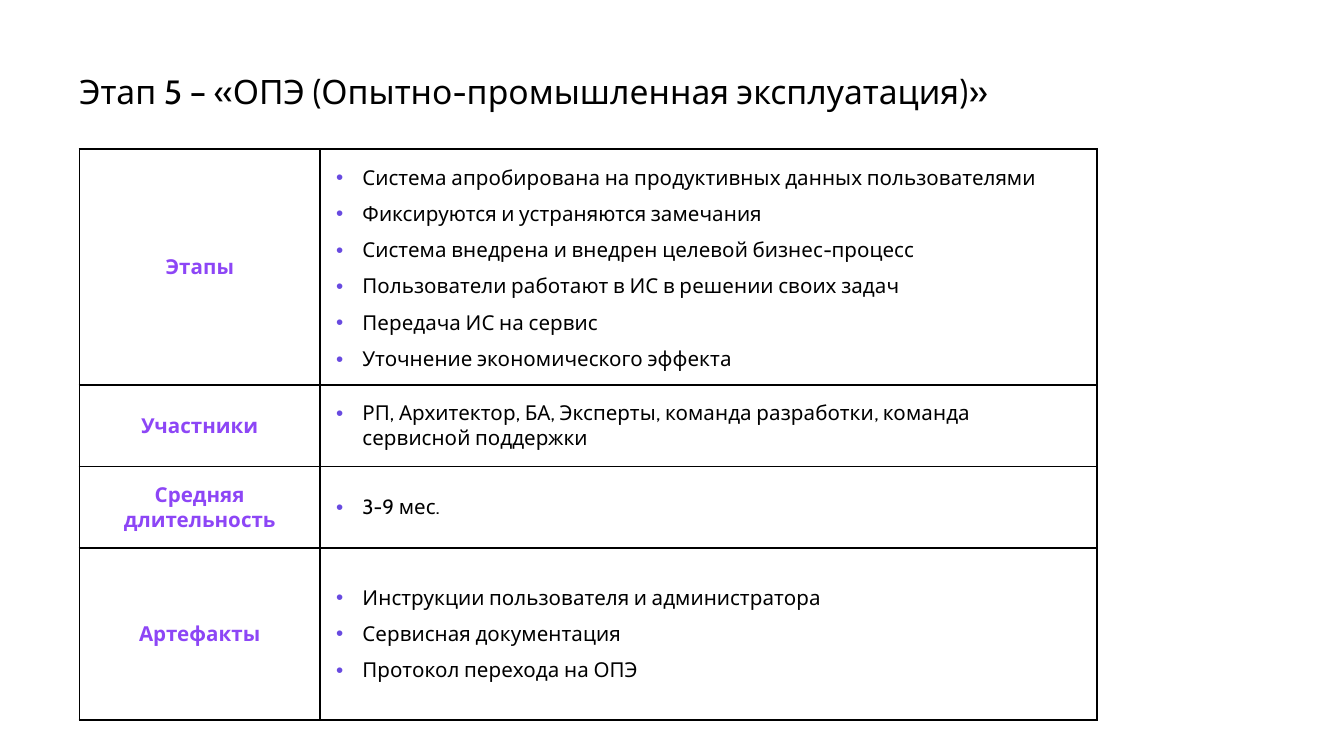
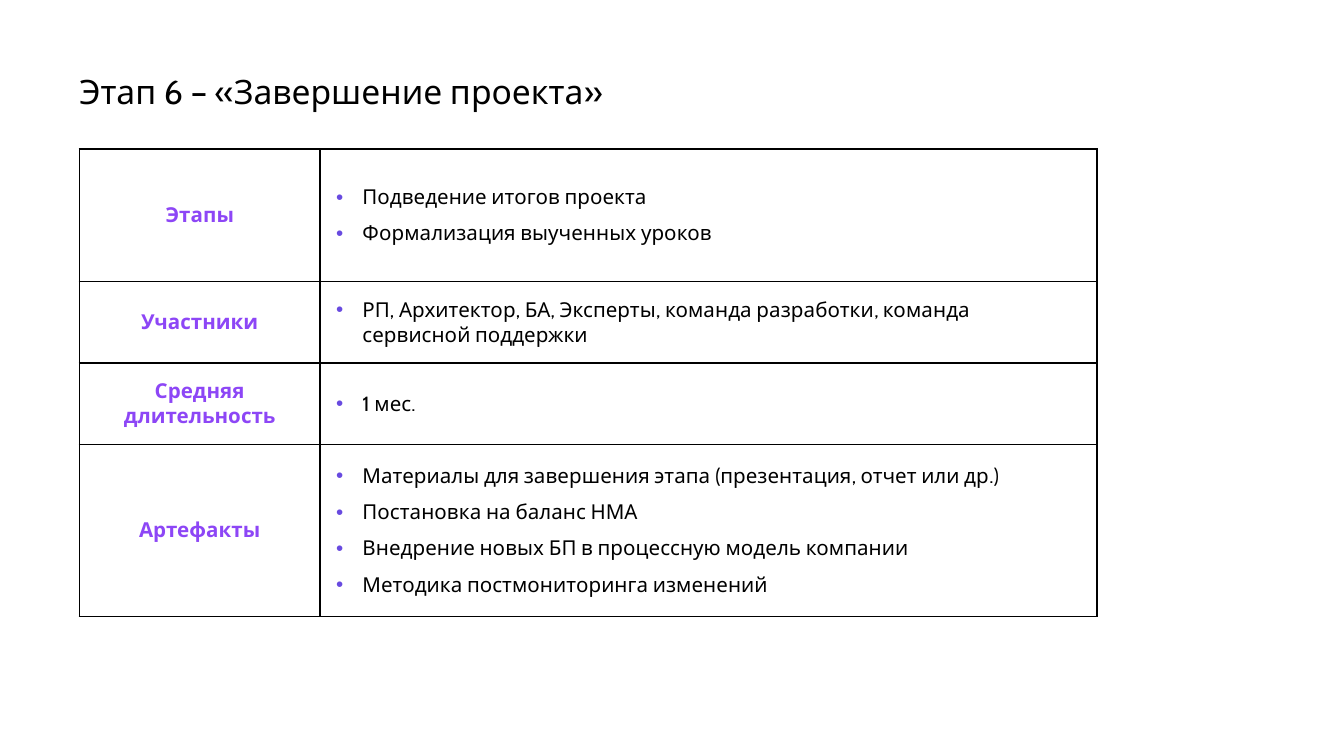
import lxml.etree
import pptx
import pptx.dml.color
import pptx.enum.text
import pptx.oxml.ns
import pptx.util

Cm = pptx.util.Cm
Pt = pptx.util.Pt
FONT = "Cabin"
BLACK, PURPLE, BULLET = "000000", "8D46F6", "684AE0"
LEFT = 1.5
LABELS = ["Этапы", "Участники", "Средняя длительность", "Артефакты"]
TEAM = "РП, Архитектор, БА, Эксперты, команда разработки, команда сервисной поддержки"
STAGES = [
    ("Этап 5 – «ОПЭ (Опытно-промышленная эксплуатация)»", [4.45, 1.54, 1.54, 3.25], [
        ["Система апробирована на продуктивных данных пользователями",
         "Фиксируются и устраняются замечания",
         "Система внедрена и внедрен целевой бизнес-процесс",
         "Пользователи работают в ИС в решении своих задач",
         "Передача ИС на сервис",
         "Уточнение экономического эффекта"],
        [TEAM],
        ["3-9 мес."],
        ["Инструкции пользователя и администратора",
         "Сервисная документация",
         "Протокол перехода на ОПЭ"],
    ]),
    ("Этап 6 – «Завершение проекта»", [2.5, 1.54, 1.54, 3.25], [
        ["Подведение итогов проекта",
         "Формализация выученных уроков"],
        [TEAM],
        ["1 мес."],
        ["Материалы для завершения этапа (презентация, отчет или др.)",
         "Постановка на баланс НМА",
         "Внедрение новых БП в процессную модель компании",
         "Методика постмониторинга изменений"],
    ]),
]


def rgb(value):
    return pptx.dml.color.RGBColor.from_string(value)


def add_element(parent, tag, **attributes):
    element = lxml.etree.SubElement(parent, pptx.oxml.ns.qn(tag))
    for name, value in attributes.items():
        element.set(name, str(value))
    return element


class StageDeck:
    """Builds stage slides in one shared style."""

    def __init__(self):
        self.presentation = pptx.Presentation()
        self.presentation.slide_width = Cm(25.4)
        self.presentation.slide_height = Cm(14.29)
        self.slide = None

    def add_slide(self):
        self.slide = self.presentation.slides.add_slide(self.presentation.slide_layouts[6])

    def style(self, paragraph, size, color, bold=False):
        font = paragraph.font
        font.name, font.size, font.bold = FONT, Pt(size), bold
        font.color.rgb = rgb(color)

    def add_title(self, text):
        frame = self.slide.shapes.add_textbox(Cm(LEFT), Cm(1.32), Cm(17.5), Cm(0.79)).text_frame
        frame.margin_left = frame.margin_right = frame.margin_bottom = 0
        frame.margin_top = Cm(0.03)
        frame.word_wrap = True
        frame.auto_size = pptx.enum.text.MSO_AUTO_SIZE.SHAPE_TO_FIT_TEXT
        frame.text = text
        self.style(frame.paragraphs[0], 18, BLACK)

    def add_table(self, heights, contents):
        widths = [4.55, 14.68]
        table = self.slide.shapes.add_table(
            len(heights), len(widths), Cm(LEFT), Cm(2.82), Cm(sum(widths)), Cm(sum(heights))).table
        table.first_row = table.horz_banding = False
        for column, width in zip(table.columns, widths):
            column.width = Cm(width)
        for row, height, label, items in zip(table.rows, heights, LABELS, contents):
            row.height = Cm(height)
            label_cell, items_cell = row.cells
            self.fill_cell(label_cell, [label])
            self.fill_cell(items_cell, items, bulleted=True)

    def fill_cell(self, cell, lines, bulleted=False):
        cell.margin_left = cell.margin_right = cell.margin_top = cell.margin_bottom = Cm(0.3)
        cell.vertical_anchor = pptx.enum.text.MSO_ANCHOR.MIDDLE
        self.add_borders(cell)
        cell.fill.background()
        cell.text = "\n".join(lines)
        for index, paragraph in enumerate(cell.text_frame.paragraphs):
            if index:
                paragraph.space_before = Pt(6)
            if bulleted:
                self.add_bullet(paragraph)
                self.style(paragraph, 11, BLACK)
            else:
                paragraph.alignment = pptx.enum.text.PP_ALIGN.CENTER
                self.style(paragraph, 11, PURPLE, bold=True)

    def add_borders(self, cell):
        properties = cell._tc.get_or_add_tcPr()
        for side in "LRTB":
            line = add_element(properties, f"a:ln{side}", w=Pt(1))
            add_element(add_element(line, "a:solidFill"), "a:srgbClr", val=BLACK)

    def add_bullet(self, paragraph):
        properties = paragraph._p.get_or_add_pPr()
        properties.set("marL", str(Cm(0.5)))
        properties.set("indent", str(-Cm(0.5)))
        add_element(add_element(properties, "a:buClr"), "a:srgbClr", val=BULLET)
        add_element(properties, "a:buFont", typeface="Arial")
        add_element(properties, "a:buChar", char="•")


def main():
    deck = StageDeck()
    for title, heights, contents in STAGES:
        deck.add_slide()
        deck.add_title(title)
        deck.add_table(heights, contents)
    deck.presentation.save("out.pptx")


if __name__ == "__main__":
    main()
